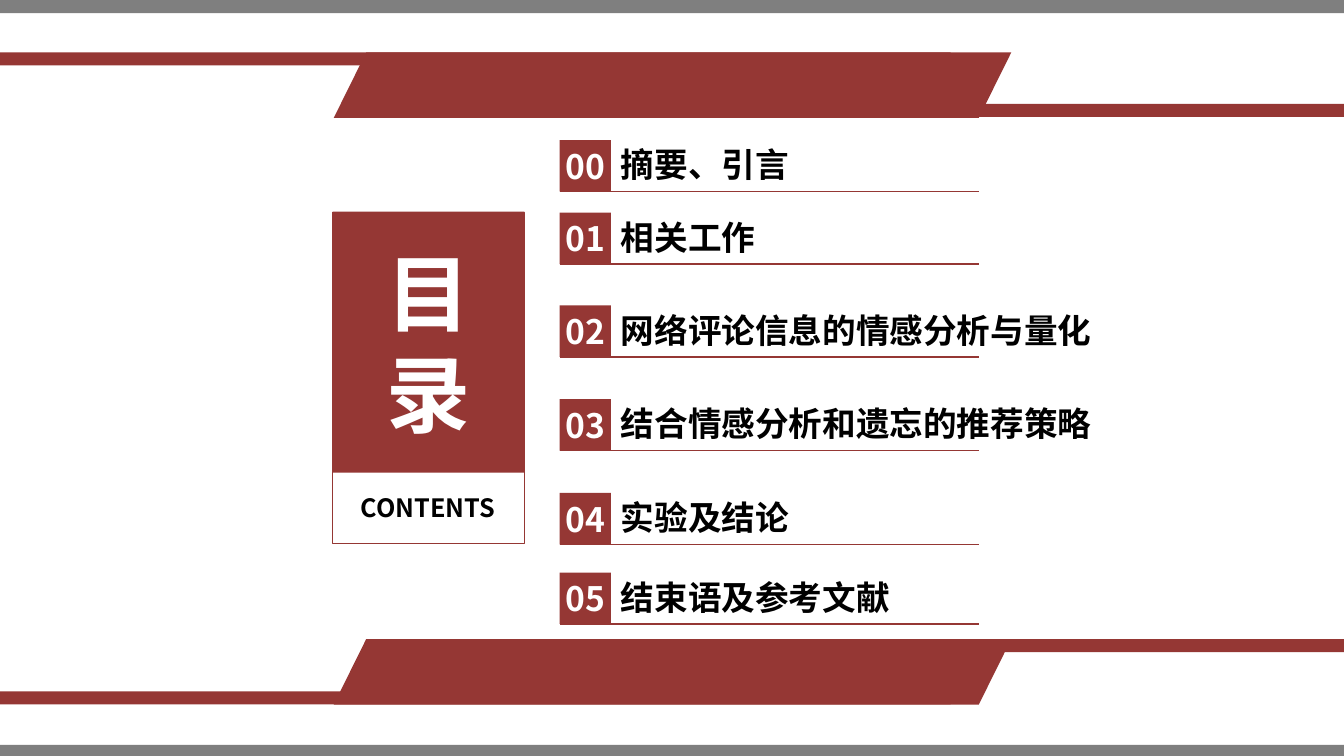
from dataclasses import dataclass

from lxml import etree
from pptx import Presentation
from pptx.dml.color import RGBColor
from pptx.enum.shapes import MSO_CONNECTOR, MSO_SHAPE
from pptx.enum.text import MSO_ANCHOR, MSO_AUTO_SIZE, PP_ALIGN
from pptx.oxml.ns import qn
from pptx.util import Inches, Pt

RECT, SLANT = MSO_SHAPE.RECTANGLE, MSO_SHAPE.PARALLELOGRAM
STRAIGHT = MSO_CONNECTOR.STRAIGHT
LEFT, CENTER = PP_ALIGN.LEFT, PP_ALIGN.CENTER
MIDDLE, FIXED = MSO_ANCHOR.MIDDLE, MSO_AUTO_SIZE.NONE
FONT = "Noto Sans CJK SC"
RED, GRAY, WHITE, BLACK = "953734", "7F7F7F", "FFFFFF", "000000"
WIDE, HIGH, THIN = 13.33, 7.5, 0.13
SIDE, LEAD, END = 0.51, 5.55, 9.71


@dataclass
class Bar:
    left: float
    top: float
    width: float
    height: float = THIN
    color: str = RED
    kind: int = RECT


@dataclass
class Item:
    top: float
    label: str
    width: float = 3.98


BARS = [
    # Bottom band
    Bar(0, 7.39, WIDE, 0.11, GRAY),
    Bar(0, 6.86, 9.43),
    Bar(3.31, 6.34, 6.72, 0.65, kind=SLANT),
    Bar(4.6, 6.34, WIDE - 4.6),
    # Top band
    Bar(0, 0, WIDE, color=GRAY),
    Bar(0, 0.52, 9.43),
    Bar(3.31, 0.52, 6.72, 0.65, kind=SLANT),
    Bar(3.9, 1.03, WIDE - 3.9),
]
ITEMS = [
    Item(1.39, "摘要、引言"),
    Item(2.11, "相关工作"),
    Item(3.03, "网络评论信息的情感分析与量化", 4.92),
    Item(3.96, "结合情感分析和遗忘的推荐策略", 4.92),
    Item(4.89, "实验及结论"),
    Item(5.68, "结束语及参考文献"),
]


def rgb(code: str) -> RGBColor:
    return RGBColor.from_string(code)


def place(shape, left: float, top: float, width: float, height: float) -> None:
    shape.left, shape.top = Inches(left), Inches(top)
    shape.width, shape.height = Inches(width), Inches(height)


def write(shape, text: str, size: int, color: str, align: int = CENTER,
          inset: float = 0) -> None:
    frame = shape.text_frame
    frame.text = text
    frame.word_wrap = True
    frame.auto_size = FIXED
    frame.vertical_anchor = MIDDLE
    frame.margin_left = frame.margin_right = Inches(inset)
    frame.margin_top = frame.margin_bottom = 0
    line = frame.paragraphs[0]
    line.alignment = align
    font = line.runs[0].font
    font.size, font.bold, font.name = Pt(size), True, FONT
    font.color.rgb = rgb(color)
    # East Asian text takes its own typeface
    etree.SubElement(font._element, qn("a:ea")).set("typeface", FONT)


def draw(slide, bar: Bar):
    box = slide.shapes.add_shape(bar.kind, 0, 0, 0, 0)
    place(box, bar.left, bar.top, bar.width, bar.height)
    box.shadow.inherit = False
    box.fill.solid()
    box.fill.fore_color.rgb = rgb(bar.color)
    box.line.fill.background()
    if bar.kind == SLANT:
        box.adjustments[0] = 0.496
    return box


def label(slide, text: str, size: int, align: int, left: float, top: float,
          width: float, height: float) -> None:
    box = slide.shapes.add_textbox(0, 0, 0, 0)
    place(box, left, top, width, height)
    write(box, text, size, BLACK, align, 0.1)


def entry(slide, index: int, item: Item) -> None:
    base = Inches(item.top + SIDE)
    rule = slide.shapes.add_connector(
        STRAIGHT, Inches(LEAD), base, Inches(END), base)
    rule.line.color.rgb = rgb(RED)
    rule.line.width = Pt(1)
    etree.SubElement(rule._element.spPr, qn("a:effectLst"))
    box = draw(slide, Bar(LEAD, item.top, SIDE, SIDE))
    write(box, f"{index:02}", 24, WHITE)
    label(slide, item.label, 24, LEFT, LEAD + SIDE, item.top - 0.01,
          item.width, 0.5)


def main() -> None:
    deck = Presentation()
    deck.slide_width, deck.slide_height = Inches(WIDE), Inches(HIGH)
    slide = deck.slides.add_slide(deck.slide_layouts[5])

    # Title panel
    title = slide.shapes.title
    place(title, 3.3, 2.1, 1.9, 2.59)
    title.fill.solid()
    title.fill.fore_color.rgb = rgb(RED)
    write(title, "目录", 60, WHITE, inset=0.3)

    # Frame with subtitle
    frame = draw(slide, Bar(3.3, 2.11, 1.9, 3.28))
    frame.fill.background()
    frame.line.color.rgb = rgb(RED)
    frame.line.width = Pt(1)
    label(slide, "CONTENTS", 18, CENTER, 3.33, 4.83, 1.83, 0.4)

    # Bands
    for bar in BARS:
        draw(slide, bar)

    # Contents list
    for index, item in enumerate(ITEMS):
        entry(slide, index, item)

    deck.save("out.pptx")


if __name__ == "__main__":
    main()
